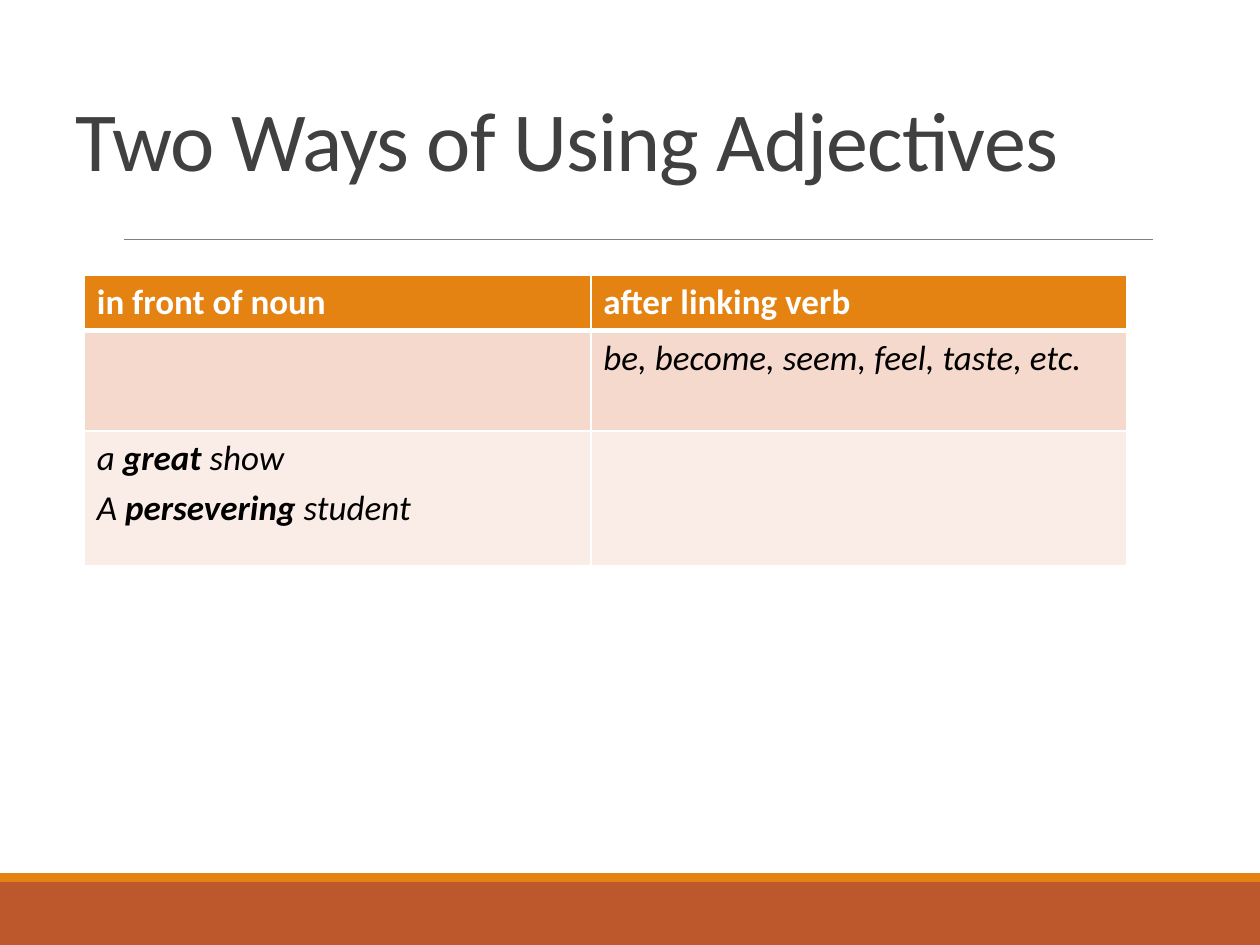
"""Build the slide on two ways of using adjectives."""
from lxml import etree
from pptx import Presentation, util as u
from pptx.dml.color import RGBColor
from pptx.enum import shapes, text
from pptx.oxml.ns import qn

FONT = "Calibri"
COLOURS = {
    "title": "404040", "rule": "808080", "accent": "E48312", "footer": "BD582C",
    "white": "FFFFFF", "black": "000000", "dark_band": "F5D9CC", "light_band": "FAEDE7",
}
COLUMN_WIDTHS = (10.21, 10.8)
ROWS = [
    (1.09, "accent", [[["in front of noun"]], [["after linking verb"]]]),
    (2.03, "dark_band", [[], [["be, become, seem, feel, taste, etc."]]]),
    (2.72, "light_band", [[["a ", "great", " show"], ["A ", "persevering ", "student"]], []]),
]


def colour(name):
    return RGBColor.from_string(COLOURS[name])


def style_font(font, size, name):
    font.name = FONT
    font.size = u.Pt(size)
    font.color.rgb = colour(name)


def add_band(page, top, height, name):
    band = page.shapes.add_shape(
        shapes.MSO_SHAPE.RECTANGLE, 0, u.Cm(top), u.Cm(25.4), u.Cm(height))
    band.shadow.inherit = False
    band.fill.solid()
    band.fill.fore_color.rgb = colour(name)
    band.line.fill.background()


def add_rule(page, left, right, top):
    rule = page.shapes.add_connector(
        shapes.MSO_CONNECTOR.STRAIGHT, u.Cm(left), u.Cm(top), u.Cm(right), u.Cm(top))
    rule.line.color.rgb = colour("rule")
    rule.line.width = u.Pt(0.5)
    etree.SubElement(rule._element.spPr, qn("a:effectLst"))


def set_title(page, words):
    title = page.shapes.title
    title.left, title.top, title.width, title.height = map(u.Cm, (1.27, 0.76, 22.86, 3.18))
    frame = title.text_frame
    frame.word_wrap = True
    frame.auto_size = text.MSO_AUTO_SIZE.NONE
    frame.vertical_anchor = text.MSO_ANCHOR.BOTTOM
    para = frame.paragraphs[0]
    para.alignment = text.PP_ALIGN.LEFT
    para.line_spacing = 0.85
    span = para.add_run()
    span.text = words
    span._r.get_or_add_rPr().set("spc", "-50")
    style_font(para.font, 48, "title")


def add_border(cell, side, points):
    line = etree.SubElement(
        cell._tc.get_or_add_tcPr(), qn(f"a:ln{side}"), w=str(u.Pt(points)))
    fill = etree.SubElement(line, qn("a:solidFill"))
    etree.SubElement(fill, qn("a:srgbClr"), val=COLOURS["white"])


def fill_cell(cell, row, name, lines):
    """Style a cell and write its lines, with every second span in bold."""
    for side in "LRTB":
        thick = (row, side) in ((0, "B"), (1, "T"))
        add_border(cell, side, 3 if thick else 1)
    cell.fill.solid()
    cell.fill.fore_color.rgb = colour(name)
    header = row == 0
    for index, spans in enumerate(lines):
        frame = cell.text_frame
        para = frame.add_paragraph() if index else frame.paragraphs[0]
        if index:
            para.space_before = u.Pt(4)
        style_font(para.font, 20, "white" if header else "black")
        para.font.italic = not header
        for position, words in enumerate(spans):
            span = para.add_run()
            span.text = words
            span.font.bold = header or position % 2 == 1


def add_usage_table(page):
    table = page.shapes.add_table(
        len(ROWS), len(COLUMN_WIDTHS), u.Cm(1.7), u.Cm(5.54),
        u.Cm(sum(COLUMN_WIDTHS)), u.Cm(sum(row[0] for row in ROWS))).table
    for column, width in zip(table.columns, COLUMN_WIDTHS):
        column.width = u.Cm(width)
    for index, (height, name, cells) in enumerate(ROWS):
        table.rows[index].height = u.Cm(height)
        for cell, lines in zip(table.rows[index].cells, cells):
            fill_cell(cell, index, name, lines)


def main():
    deck = Presentation()
    deck.slide_width, deck.slide_height = u.Cm(25.4), u.Cm(19.05)
    page = deck.slides.add_slide(deck.slide_layouts[5])
    add_band(page, 17.78, 1.27, "footer")
    add_band(page, 17.6, 0.18, "accent")
    add_rule(page, 2.49, 23.24, 4.83)
    set_title(page, "Two Ways of Using Adjectives")
    add_usage_table(page)
    deck.save("out.pptx")


if __name__ == "__main__":
    main()
